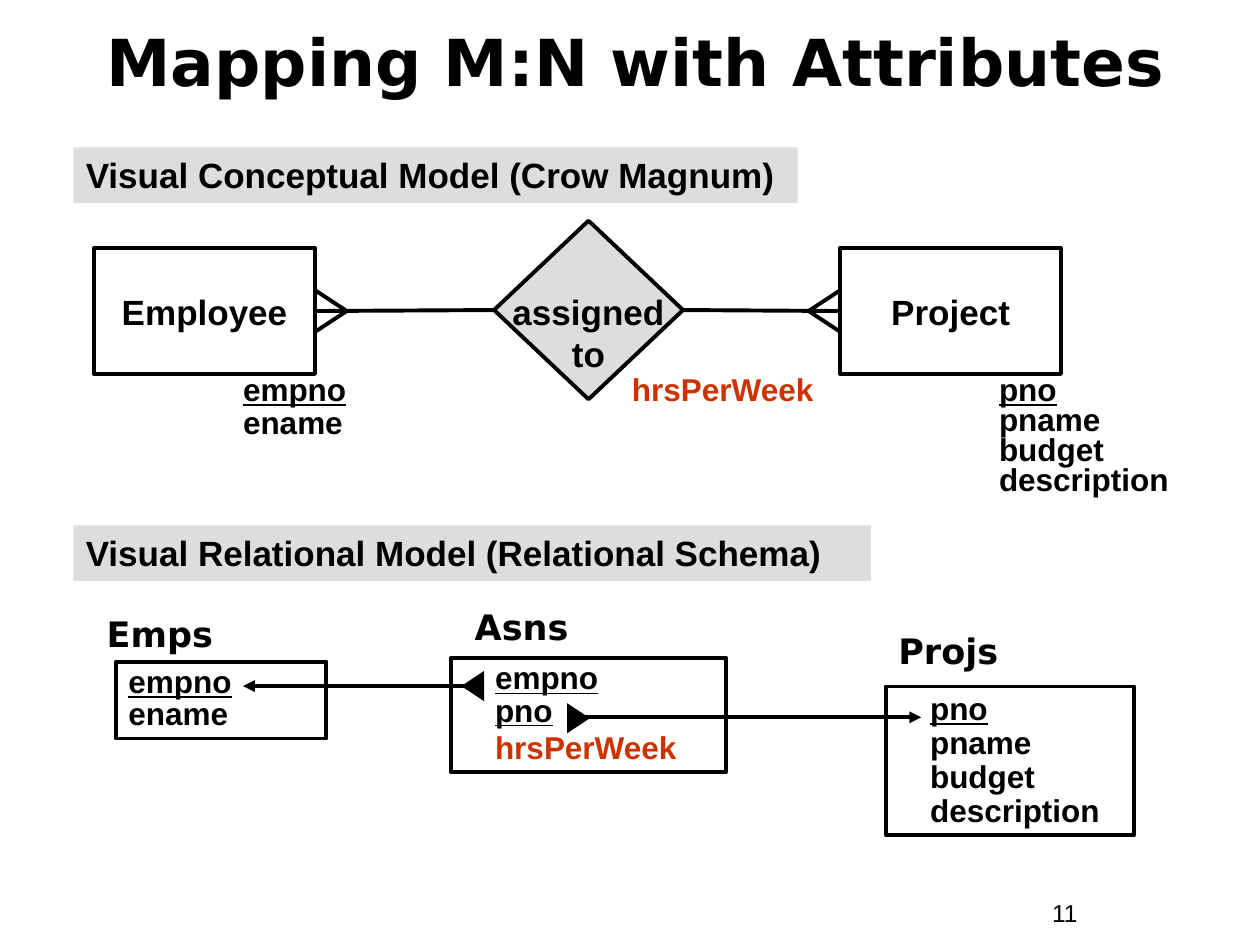
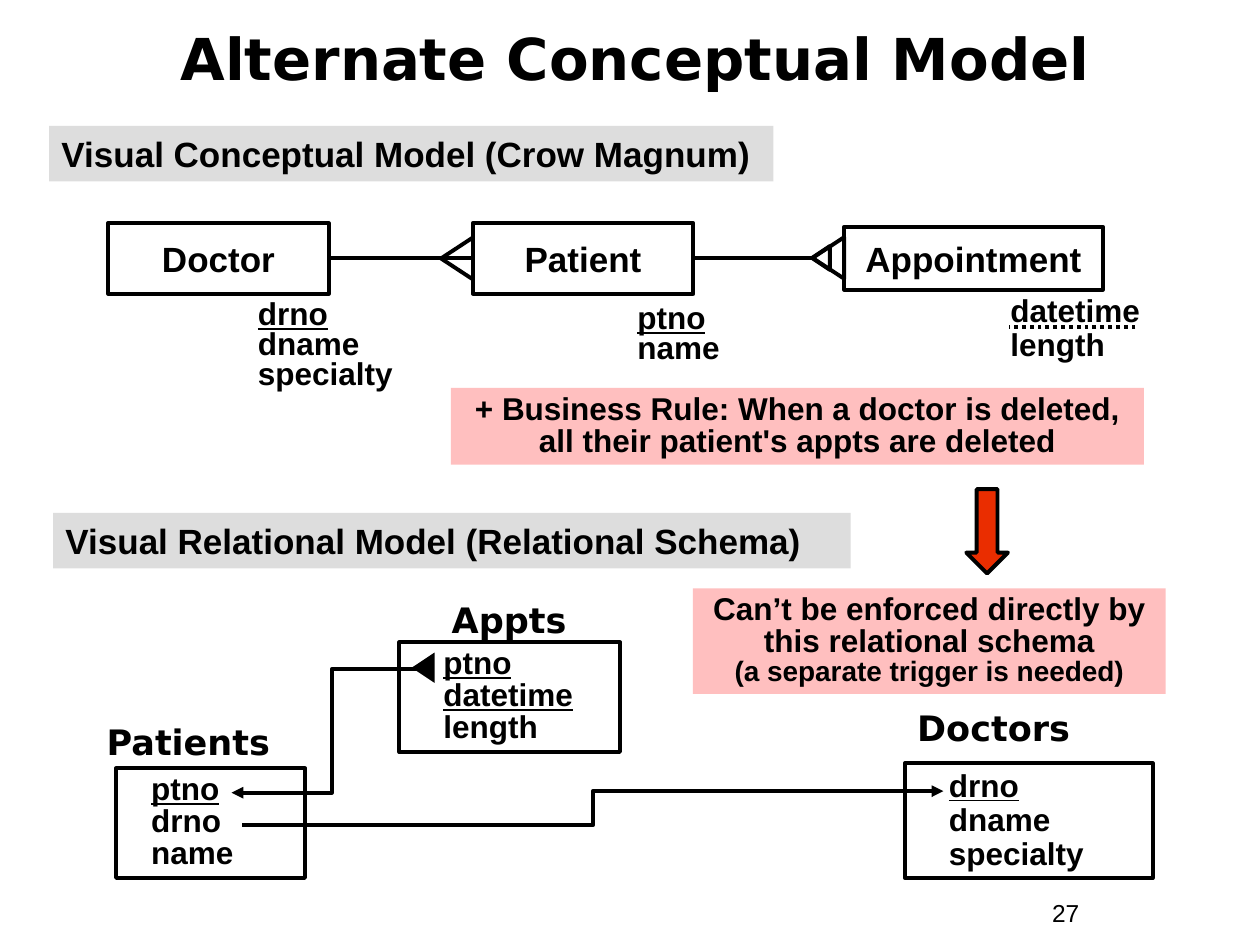
import pptx
import pptx.util
import pptx.dml.color
import pptx.enum.dml
import pptx.enum.shapes
import pptx.enum.text
import pptx.oxml.ns
from lxml import etree

Cm, Pt = pptx.util.Cm, pptx.util.Pt
SHAPE = pptx.enum.shapes.MSO_SHAPE
LINK = pptx.enum.shapes.MSO_CONNECTOR
ALIGN = pptx.enum.text.PP_ALIGN
ANCHOR = pptx.enum.text.MSO_ANCHOR
qn = pptx.oxml.ns.qn

COLORS = {"ink": "000000", "band": "DDDDDD", "accent": "CC3300",
          "note": "FFBFBF", "arrow": "EA2D00"}
TOP, LEFT, BOTTOM, RIGHT = range(4)


def rgb(name):
    return pptx.dml.color.RGBColor.from_string(COLORS[name])


def write(p, text, size=18, font="Arial", color="ink", bold=True,
          underline=False, align=ALIGN.LEFT, spacing=1.0):
    """Put one formatted run into a paragraph."""
    p.alignment, p.line_spacing, p.space_before = align, spacing, Pt(0)
    r = p.add_run()
    r.text = text
    f = r.font
    f.size, f.name, f.bold, f.underline = Pt(size), font, bold, underline
    f.color.rgb = rgb(color)


class Deck:
    HEADING = "DejaVu Sans"
    LINE = Pt(2.25)
    FOOT = 0.42    # half the width of a crow's foot, in cm

    def __init__(self):
        self.prs = pptx.Presentation()
        self.prs.slide_width, self.prs.slide_height = Cm(25.4), Cm(19.05)
        self.s = None

    # Slide frame
    def slide(self, title, at, size, number):
        self.s = self.prs.slides.add_slide(self.prs.slide_layouts[5])
        sp = self.s.shapes.title
        sp.left, sp.top, sp.width, sp.height = map(Cm, at)
        self.fill_text(sp.text_frame, [title], anchor=ANCHOR.MIDDLE, size=size,
                       font=self.HEADING, align=ALIGN.CENTER, spacing=0.8)
        self.text((20.96, 17.98, 2.34, 0.86), [number], size=14, bold=False)

    # Text: each item is a string or a (string, format) pair
    def fill_text(self, tf, items, anchor=ANCHOR.TOP, wrap=True,
                  inset=0.25, top=0.13, **fmt):
        tf.auto_size = pptx.enum.text.MSO_AUTO_SIZE.NONE
        tf.word_wrap, tf.vertical_anchor = wrap, anchor
        tf.margin_left, tf.margin_right = Cm(inset), Cm(0.25)
        tf.margin_top, tf.margin_bottom = Cm(top), Cm(0.13)
        for i, item in enumerate(items):
            text, own = (item, {}) if isinstance(item, str) else item
            p = tf.add_paragraph() if i else tf.paragraphs[0]
            write(p, text, **{**fmt, **own})

    def text(self, at, items, **fmt):
        sp = self.s.shapes.add_textbox(*map(Cm, at))
        self.fill_text(sp.text_frame, items, **fmt)

    # Shapes
    def shape(self, at, kind=SHAPE.RECTANGLE, fill=None, outline=True):
        sp = self.s.shapes.add_shape(kind, *map(Cm, at))
        sp.shadow.inherit = False
        if fill:
            sp.fill.solid()
            sp.fill.fore_color.rgb = rgb(fill)
        else:
            sp.fill.background()
        if outline:
            sp.line.color.rgb, sp.line.width = rgb("ink"), self.LINE
        else:
            sp.line.fill.background()
        return sp

    def band(self, at, text):
        sp = self.shape(at, fill="band", outline=False)
        self.fill_text(sp.text_frame, [text], size=20)

    def note(self, at, items):
        sp = self.shape(at, fill="note", outline=False)
        self.fill_text(sp.text_frame, items, align=ALIGN.CENTER, spacing=0.85)

    def entity(self, at, items, kind=SHAPE.RECTANGLE, fill=None, top=0.13):
        sp = self.shape(at, kind, fill)
        self.fill_text(sp.text_frame, items, anchor=ANCHOR.MIDDLE, wrap=False,
                       top=top, size=20, align=ALIGN.CENTER)
        return sp

    def relation(self, name, name_at, at, fields, inset=0.89, spacing=0.85,
                 **name_fmt):
        self.text(name_at, [name], size=20, font=self.HEADING, **name_fmt)
        sp = self.shape(at)
        self.fill_text(sp.text_frame, fields, inset=inset, spacing=spacing)

    def triangle(self, cx, cy, base, height, rotation, **style):
        at = (cx - base / 2, cy - height / 2, base, height)
        self.shape(at, SHAPE.ISOSCELES_TRIANGLE, **style).rotation = rotation

    def many_end(self, cx, cy, rotation=270):
        self.triangle(cx, cy, 0.61, 0.46, rotation, fill="ink", outline=False)

    # Lines
    def line(self, start, end, kind=LINK.STRAIGHT, arrow=False, dotted=False):
        c = self.s.shapes.add_connector(kind, *map(Cm, start + end))
        c.line.color.rgb, c.line.width = rgb("ink"), self.LINE
        if dotted:
            c.line.dash_style = pptx.enum.dml.MSO_LINE.ROUND_DOT
        spPr = c._element.spPr
        if arrow:
            etree.SubElement(spPr.find(qn("a:ln")), qn("a:tailEnd"), type="triangle")
        etree.SubElement(spPr, qn("a:effectLst"))
        return c

    def join(self, a, b):
        c = self.line((0, 0), (1, 1))
        c.begin_connect(a, RIGHT)
        c.end_connect(b, LEFT)

    def crow_foot(self, apex, edge, y):
        for dy in (-self.FOOT, self.FOOT):
            self.line((apex, y), (edge, y + dy))


def key(text):
    return text, {"underline": True}


def mapping_slide(d):
    d.slide("Mapping M:N with Attributes", (0.84, 0.2, 23.93, 2.34), 37, "11")

    # Conceptual model
    d.band((1.48, 2.97, 14.6, 1.12), "Visual Conceptual Model (Crow Magnum)")
    employee = d.entity((1.9, 5, 4.45, 2.54), ["Employee"])
    assigned = d.entity((9.96, 4.45, 3.81, 3.6), ["assigned", "to"],
                        SHAPE.FLOWCHART_DECISION, "band", top=1.02)
    project = d.entity((16.94, 5, 4.45, 2.54), ["Project"])
    d.join(employee, assigned)
    d.join(assigned, project)
    d.crow_foot(6.99, 6.35, 6.27)
    d.crow_foot(16.3, 16.94, 6.27)
    d.text((4.65, 7.47, 3.81, 1.55),
           [("empno", {"underline": True, "spacing": 0.8}), "ename"], spacing=0.9)
    d.text((12.49, 7.42, 4.88, 0.94), ["hrsPerWeek"], color="accent", spacing=0.9)
    d.text((19.89, 7.47, 4.24, 2.69),
           [key("pno"), "pname", "budget description"], spacing=0.8)

    # Relational model
    d.band((1.48, 10.59, 16.08, 1.12), "Visual Relational Model (Relational Schema)")
    d.relation("Emps", (1.9, 12.22, 5.46, 1.12), (2.34, 13.34, 4.24, 1.55),
               [key("empno"), "ename"], inset=0.25)
    d.relation("Asns", (9.32, 12.07, 6.38, 1.12), (9.09, 13.26, 5.54, 2.31),
               [key("empno"), key("pno"),
                ("hrsPerWeek", {"color": "accent", "spacing": 1.0})])
    d.relation("Projs", (17.86, 12.57, 5.46, 1.12), (17.86, 13.84, 5, 3),
               [key("pno"), "pname", "budget description"], spacing=0.9)
    d.line((9.73, 13.83), (4.9, 13.83), arrow=True)
    d.line((11.46, 14.46), (18.57, 14.46), arrow=True)
    d.many_end(9.53, 13.83)
    d.many_end(11.66, 14.48, 90)


def alternate_slide(d):
    d.slide("Alternate Conceptual Model", (0.84, 0.43, 23.93, 1.7), 33, "27")

    # Conceptual model
    d.band((0.99, 2.54, 14.6, 1.12), "Visual Conceptual Model (Crow Magnum)")
    doctor = d.entity((2.18, 4.5, 4.45, 1.42), ["Doctor"])
    patient = d.entity((9.53, 4.5, 4.45, 1.42), ["Patient"])
    d.entity((17.02, 4.57, 5.21, 1.27), ["Appointment"])
    d.join(doctor, patient)
    d.crow_foot(8.89, 9.53, 5.21)
    d.line((13.98, 5.21), (16.38, 5.21)).begin_connect(patient, RIGHT)
    d.triangle(16.7, 5.2, 0.84, 0.64, 270)
    d.triangle(16.55, 5.2, 0.48, 0.36, 270)
    d.text((4.95, 5.94, 3.61, 2.08), [key("drno"), "dname", "specialty"], spacing=0.8)
    d.text((12.6, 6.02, 3.81, 1.47), [key("ptno"), "name"], spacing=0.8)
    d.text((20.12, 5.82, 4.24, 1.63), ["datetime", "length"], spacing=0.9)
    d.line((22.89, 6.6), (20.35, 6.6), dotted=True)

    # Business rule
    d.note((9.09, 7.82, 13.97, 1.55),
           ["+ Business Rule: When a doctor is deleted, "
            "all their patient's appts are deleted"])
    d.shape((19.48, 9.86, 0.84, 1.7), SHAPE.DOWN_ARROW, "arrow")
    d.note((13.97, 11.86, 9.53, 2.13),
           ["Can’t be enforced directly by this relational schema",
            ("(a separate trigger is needed)", {"size": 16})])

    # Relational model
    d.band((1.07, 10.34, 16.08, 1.12), "Visual Relational Model (Relational Schema)")
    d.relation("Appts", (8.46, 11.94, 3.61, 0.99), (8.05, 12.95, 4.45, 2.21),
               [key("ptno"), key("datetime"), "length"],
               align=ALIGN.CENTER, spacing=0.85)
    d.relation("Patients", (1.9, 14.4, 5.46, 1.12), (2.34, 15.49, 3.81, 2.21),
               [key("ptno"), "drno", "name"], inset=0.71)
    d.relation("Doctors", (18.24, 14.12, 5.46, 1.12), (18.24, 15.39, 5, 2.31),
               [key("drno"), "dname", "specialty"], spacing=0.9)
    d.line((8.71, 13.49), (4.67, 15.98), LINK.ELBOW, arrow=True)
    d.line((4.88, 16.64), (19.02, 15.95), LINK.ELBOW, arrow=True)
    d.many_end(8.53, 13.46)


def main():
    d = Deck()
    mapping_slide(d)
    alternate_slide(d)
    d.prs.save("out.pptx")


if __name__ == "__main__":
    main()
